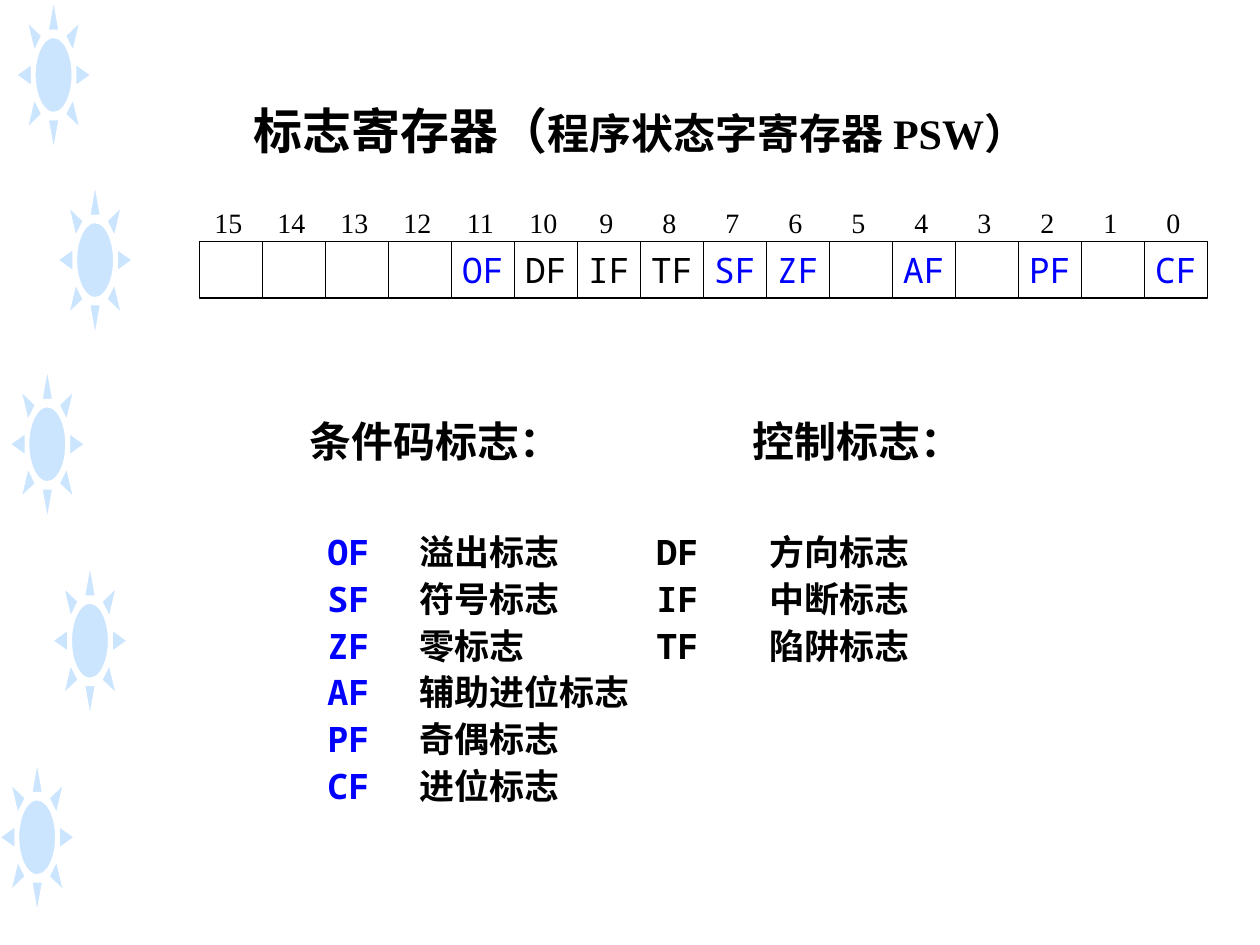
from lxml import etree
from pptx import Presentation
from pptx.dml.color import RGBColor
from pptx.enum.shapes import MSO_SHAPE
from pptx.enum.text import MSO_ANCHOR, PP_ALIGN
from pptx.oxml.ns import qn
from pptx.util import Pt

RECT, SUN = MSO_SHAPE.RECTANGLE, MSO_SHAPE.SUN
CENTER, MIDDLE = PP_ALIGN.CENTER, MSO_ANCHOR.MIDDLE
COLORS = {"black": "000000", "blue": "0000FF", "sun": "99CCFF", "white": "FFFFFF"}
SERIF, MONO = "Times New Roman", "Noto Sans Mono"

SUNS = [(9.4, 0), (33.1, 105.8), (5.8, 211), (30.2, 323.3), (0, 435.6)]
FLAGS = {11: "OF", 10: "DF", 9: "IF", 8: "TF", 7: "SF", 6: "ZF", 4: "AF", 2: "PF", 0: "CF"}
CONDITION_FLAGS = [("OF", "溢出标志"), ("SF", "符号标志"), ("ZF", "零标志"),
                   ("AF", "辅助进位标志"), ("PF", "奇偶标志"), ("CF", "进位标志")]
CONTROL_FLAGS = [("DF", "方向标志"), ("IF", "中断标志"), ("TF", "陷阱标志")]
CONDITION_NAMES = [name for name, _ in CONDITION_FLAGS]


def rgb(name):
    return RGBColor.from_string(COLORS[name])


def set_font(font, face, size, color="black", bold=False):
    font.name, font.size, font.bold = face, Pt(size), bold
    font.color.rgb = rgb(color)


def set_tabs(p, stops, align="l"):
    tabs = etree.Element(qn("a:tabLst"))
    for stop in stops:
        etree.SubElement(tabs, qn("a:tab"), pos=str(Pt(stop)), algn=align)
    p_pr = p._p.get_or_add_pPr()
    def_rpr = p_pr.find(qn("a:defRPr"))
    if def_rpr is None:
        p_pr.append(tabs)
    else:
        def_rpr.addprevious(tabs)


def add_text(s, x, y, w, h):
    tf = s.shapes.add_textbox(Pt(x), Pt(y), Pt(w), Pt(h)).text_frame
    tf.word_wrap = True
    return tf


def add_box(s, kind, x, y, w, h, line, width):
    sp = s.shapes.add_shape(kind, Pt(x), Pt(y), Pt(w), Pt(h))
    sp.shadow.inherit = False
    sp.line.color.rgb = rgb(line)
    sp.line.width = Pt(width)
    return sp


def add_suns(s, w, h):
    for x, y in SUNS:
        sp = add_box(s, SUN, x, y, w, h, "white", 0.75)
        sp.fill.solid()
        sp.fill.fore_color.rgb = rgb("sun")
        color = sp._element.spPr.find(qn("a:solidFill"))[0]
        etree.SubElement(color, qn("a:alpha"), val="50000")


def add_title(s, x, y, w, h):
    p = add_text(s, x, y, w, h).paragraphs[0]
    for text, size in [("标志寄存器（", 28), ("程序状态字寄存器 PSW）", 24)]:
        r = p.add_run()
        r.text = text
        set_font(r.font, SERIF, size, bold=True)


def add_register(s, x, y, cell_w, cell_h, bits=16):
    """Row of bit cells, with the bit numbers centred above them."""
    for i, bit in enumerate(reversed(range(bits))):
        sp = add_box(s, RECT, x + i * cell_w, y, cell_w, cell_h, "black", 1)
        sp.fill.background()
        if bit in FLAGS:
            tf = sp.text_frame
            tf.margin_left = tf.margin_right = tf.margin_top = tf.margin_bottom = 0
            tf.vertical_anchor = MIDDLE
            p = tf.paragraphs[0]
            p.text, p.alignment = FLAGS[bit], CENTER
            set_font(p.font, MONO, 20, "blue" if FLAGS[bit] in CONDITION_NAMES else "black")

    tf = add_text(s, x - 6, y - 24, bits * cell_w + 6, 26.6)
    tf.margin_left = Pt(6)
    p = tf.paragraphs[0]
    p.text = "".join(f"\t{bit}" for bit in reversed(range(bits)))
    set_font(p.font, SERIF, 16)
    set_tabs(p, [(i + 0.5) * cell_w - 1.5 for i in range(bits)], "ctr")


def add_headings(s, x, y, w, h):
    p = add_text(s, x, y, w, h).paragraphs[0]
    p.text = "\t条件码标志：\t控制标志："
    set_font(p.font, SERIF, 24, bold=True)
    set_tabs(p, [32, 285])


def add_flag_list(s, x, y, w, h):
    tf = add_text(s, x, y, w, h)
    for i, (name, meaning) in enumerate(CONDITION_FLAGS):
        p = tf.paragraphs[0] if i == 0 else tf.add_paragraph()
        p.line_spacing, p.space_before = 0.7, Pt(10)
        texts = (meaning,) + (CONTROL_FLAGS[i] if i < len(CONTROL_FLAGS) else ())
        for text, color in [(name, "blue"), ("\t" + "\t".join(texts), "black")]:
            r = p.add_run()
            r.text = text
            set_font(r.font, MONO, 20, color, bold=True)
        set_tabs(p, [52.5, 188, 252.5])


def main():
    prs = Presentation()
    prs.slide_width, prs.slide_height = Pt(720), Pt(540)
    s = prs.slides.add_slide(prs.slide_layouts[6])
    add_suns(s, 42.5, 85.7)
    add_title(s, 138, 54, 480, 41)
    add_register(s, 114, 138, 36, 32.4)
    add_headings(s, 138, 234, 510, 36)
    add_flag_list(s, 180, 306, 426, 170)
    prs.save("out.pptx")


if __name__ == "__main__":
    main()
